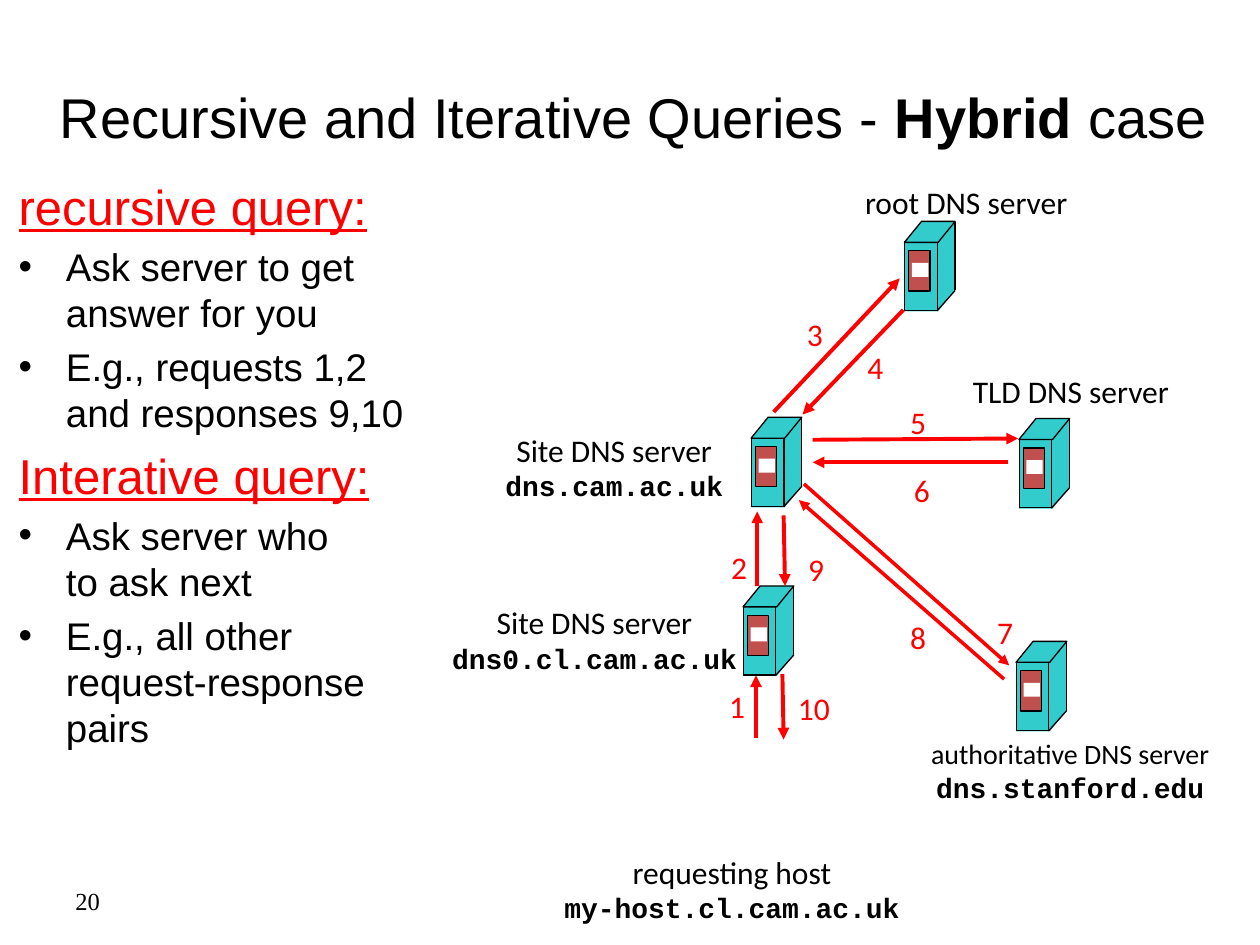
import pptx
import pptx.util
import pptx.dml.color
import pptx.enum.shapes
import pptx.enum.text
import pptx.oxml
import pptx.oxml.ns

Pt = pptx.util.Pt
SHAPE = pptx.enum.shapes.MSO_SHAPE
ALIGN = pptx.enum.text.PP_ALIGN
ANCHOR = pptx.enum.text.MSO_ANCHOR
COLORS = {"black": "000000", "red": "FF0000", "teal": "33CCCC",
          "brick": "C0504D", "white": "FFFFFF"}


def rgb(name):
    return pptx.dml.color.RGBColor.from_string(COLORS[name])


def sub(parent, tag, **attrs):
    el = pptx.oxml.parse_xml(f"<{tag} {pptx.oxml.ns.nsdecls('a')}/>")
    for key, value in attrs.items():
        el.set(key, value)
    parent.append(el)


class Deck:
    LABEL = {"name": "Calibri", "size": Pt(18)}
    HOST = {"name": "Courier New", "size": Pt(16), "bold": True}
    HEADING = {"name": "Arial", "size": Pt(28), "underline": True}
    BULLET = {"name": "Arial", "size": Pt(22)}

    def __init__(self, width, height):
        self.prs = pptx.Presentation()
        self.prs.slide_width, self.prs.slide_height = Pt(width), Pt(height)
        self.s = None

    def add_slide(self):
        self.s = self.prs.slides.add_slide(self.prs.slide_layouts[5])

    def run(self, p, text, style, color="black"):
        r = p.add_run()
        r.text = text
        for key, value in style.items():
            setattr(r.font, key, value)
        r.font.color.rgb = rgb(color)

    def title(self, x, y, w, h, parts):
        sp = self.s.shapes.title
        sp.left, sp.top, sp.width, sp.height = map(Pt, (x, y, w, h))
        tf = sp.text_frame
        tf.vertical_anchor = ANCHOR.MIDDLE
        p = tf.paragraphs[0]
        p.alignment = ALIGN.CENTER
        for text, bold in parts:
            self.run(p, text, {"name": "Arial", "size": Pt(32), "bold": bold})

    def text(self, x, y, w, h, lines, color="black", align=ALIGN.CENTER,
             anchor=ANCHOR.TOP, wrap=False):
        tf = self.s.shapes.add_textbox(*map(Pt, (x, y, w, h))).text_frame
        tf.word_wrap, tf.vertical_anchor = wrap, anchor
        for i, (text, style) in enumerate(lines):
            p = tf.add_paragraph() if i else tf.paragraphs[0]
            p.alignment = align
            self.run(p, text, style, color)

    def outline(self, x, y, w, h, sections):
        tf = self.s.shapes.add_textbox(*map(Pt, (x, y, w, h))).text_frame
        tf.word_wrap = True
        p = tf.paragraphs[0]
        for i, (heading, bullets) in enumerate(sections):
            if i:
                p = tf.add_paragraph()
                p.space_before = Pt(5.6)
            self.run(p, heading, self.HEADING, "red")
            for bullet in bullets:
                p = tf.add_paragraph()
                p.space_before = Pt(4.4)
                pPr = p._p.get_or_add_pPr()
                pPr.set("marL", str(Pt(27)))
                pPr.set("indent", str(-Pt(27)))
                sub(pPr, "a:buFont", typeface="Arial")
                sub(pPr, "a:buChar", char="•")
                for n, line in enumerate(bullet.split("\n")):
                    if n:
                        p.add_line_break()
                    self.run(p, line, self.BULLET)

    def shape(self, kind, x, y, w, h, fill, line=None):
        sp = self.s.shapes.add_shape(kind, *map(Pt, (x, y, w, h)))
        sp.shadow.inherit = False
        sp.fill.solid()
        sp.fill.fore_color.rgb = rgb(fill)
        if line:
            sp.line.color.rgb, sp.line.width = rgb(line), Pt(0.75)
        else:
            sp.line.fill.background()
        if kind == SHAPE.PARALLELOGRAM:
            sp.adjustments[0] = 0.814

    def line(self, x1, y1, x2, y2, color="black", width=0.75, arrow=False):
        c = self.s.shapes.add_connector(
            pptx.enum.shapes.MSO_CONNECTOR.STRAIGHT, *map(Pt, (x1, y1, x2, y2)))
        c.line.color.rgb, c.line.width = rgb(color), Pt(width)
        if arrow:
            sub(c.line._get_or_add_ln(), "a:tailEnd", type="triangle")
        sub(c._element.spPr, "a:effectLst")

    def server(self, x, y):
        """Draw a server tower with its top left corner at x, y."""
        box, slant = SHAPE.RECTANGLE, SHAPE.PARALLELOGRAM
        for kind, dx, dy, w, h, fill, line in [
                (slant, 0, 39.5, 29, 12, "teal", None),
                (box, 14.7, 0.4, 14, 39.5, "teal", None),
                (box, 0.2, 11.5, 18.6, 39.5, "teal", "black"),
                (slant, 0, 0, 29, 12, "teal", "black"),
                (box, 2.5, 16.8, 12.2, 23, "brick", "black"),
                (box, 4.3, 23.7, 9.4, 8, "white", None)]:
            self.shape(kind, x + dx, y + dy, w, h, fill, line)
        self.line(x + 29, y + 0.5, x + 29, y + 39.5)
        self.line(x + 29, y + 39.5, x + 18.6, y + 51.2)


def main():
    d = Deck(720, 540)
    d.add_slide()

    # Title, page number and explanation
    d.title(3.6, 21.6, 716.4, 90, [
        ("Recursive and Iterative Queries - ", False), ("Hybrid", True), (" case", False)])
    d.text(36, 500.4, 168, 28.8, [("20", {"name": "Times New Roman", "size": Pt(14)})],
           align=ALIGN.LEFT, anchor=ANCHOR.MIDDLE, wrap=True)
    d.outline(3.6, 97.2, 247.7, 432, [
        ("recursive query:", ["Ask server to get answer for you",
                              "E.g., requests 1,2 and responses 9,10"]),
        ("Interative query:", ["Ask server who \nto ask next",
                               "E.g., all other request-response pairs"])])

    # Servers: root, TLD, authoritative, site, department
    for x, y in [(516.8, 126.5), (582.2, 239.2), (580.6, 366.5),
                 (429.2, 238.4), (424.6, 334.8)]:
        d.server(x, y)

    # Numbered messages: arrow ends, width, left and top of the number
    messages = [
        (432, 421.9, 432, 385.9, 2.25, 409.2, 388.8),
        (432.7, 334.8, 432.7, 292.3, 2.25, 410.4, 309.6),
        (442.1, 235.4, 514.1, 159.1, 2.25, 453.6, 176.4),
        (516.2, 177.1, 458.6, 236.9, 2.25, 488.2, 195.1),
        (464.4, 251.3, 581.8, 250.6, 2.25, 512.6, 226.8),
        (576, 264.2, 464.4, 264.2, 2.25, 514.8, 265.7),
        (459.4, 276.5, 576.7, 380.2, 2, 562.3, 347),
        (573.8, 388.1, 456.5, 285.8, 2, 512.6, 349.9),
        (447.8, 294.5, 448.6, 334.8, 2.25, 454.3, 311),
        (447.1, 385.2, 447.8, 422.6, 2.25, 448.6, 390.2)]
    for number, (x1, y1, x2, y2, width, x, y) in enumerate(messages, 1):
        d.line(x1, y1, x2, y2, "red", width, arrow=True)
        d.text(x, y, 33 if number > 9 else 24, 28.8, [(str(number), d.LABEL)], "red")

    # Server and host names
    d.text(473, 100.8, 158.4, 28.8, [("root DNS server", d.LABEL)], wrap=True)
    d.text(532.8, 208.8, 158.4, 28.8, [("TLD DNS server", d.LABEL)], wrap=True)
    d.shape(SHAPE.RECTANGLE, 277.2, 248.4, 147.6, 37.4, "white")
    d.shape(SHAPE.RECTANGLE, 266.4, 347, 147.6, 37.4, "white")
    for x, y, w, name, host, size in [
            (280.8, 242.6, 140.4, "Site DNS server", "dns.cam.ac.uk", 18),
            (249.8, 341.3, 180, "Site DNS server", "dns0.cl.cam.ac.uk", 18),
            (523.4, 417.6, 176.4, "authoritative DNS server", "dns.stanford.edu", 16),
            (313.9, 483.8, 208.8, "requesting host", "my-host.cl.cam.ac.uk", 18)]:
        d.text(x, y, w, 48.2, [(name, {**d.LABEL, "size": Pt(size)}), (host, d.HOST)])

    d.prs.save("out.pptx")


if __name__ == "__main__":
    main()
